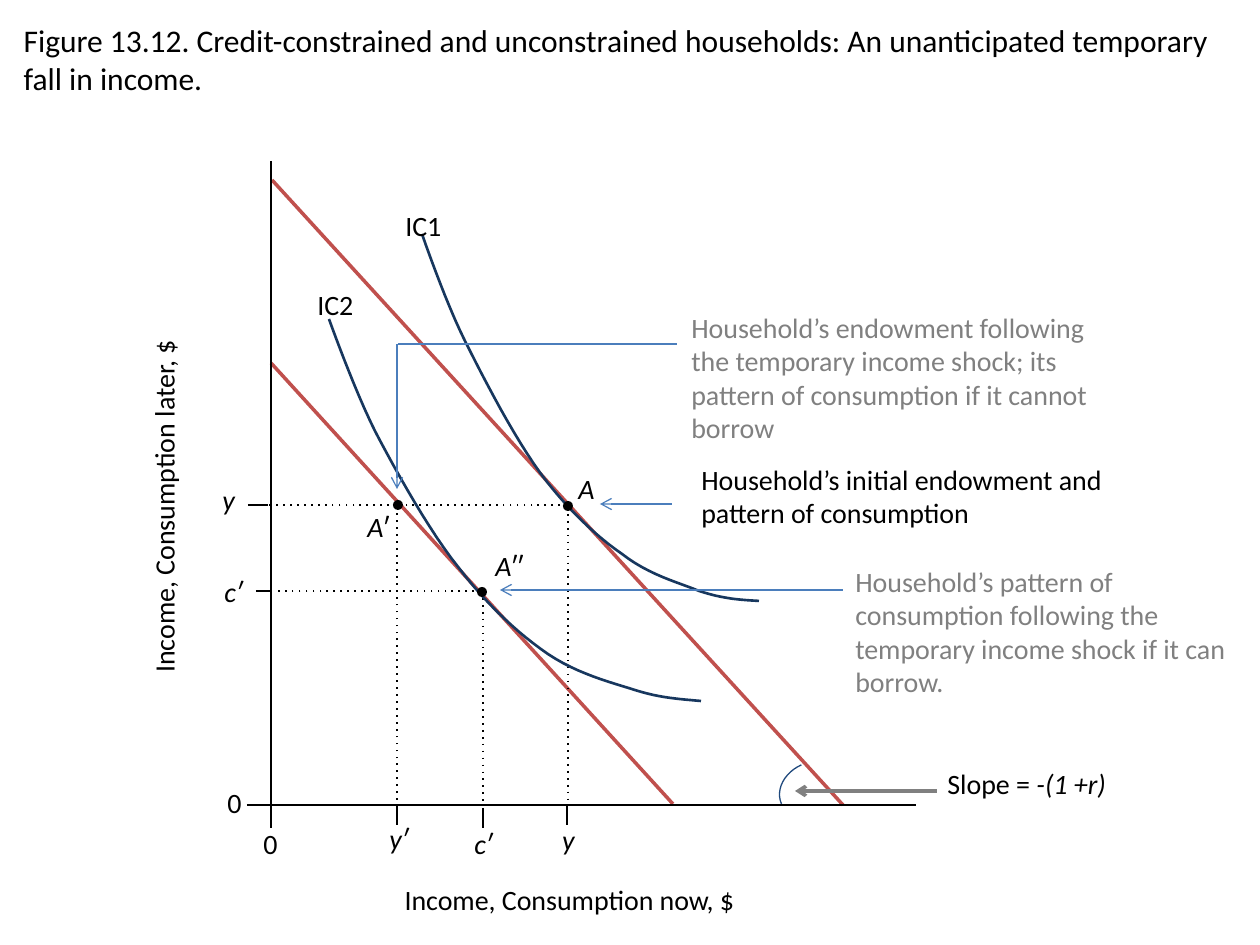
from dataclasses import dataclass
from typing import Any, NamedTuple

import lxml.etree
import pptx
import pptx.dml.color
import pptx.enum.shapes
import pptx.enum.text
import pptx.oxml.ns
import pptx.util

EMU_PER_PIXEL = 914400 / 126
CURVE_STEPS = 12


@dataclass(frozen=True)
class Theme:
    """Font, type sizes in points and colours."""
    font: str = "Calibri"
    title_size: int = 18
    body_size: int = 16
    black: str = "000000"
    white: str = "FFFFFF"
    grey: str = "808080"
    budget: str = "C0504D"
    curve: str = "17375E"
    angle: str = "1F497D"
    pointer: str = "4B7EBC"


THEME = Theme()


class Line(NamedTuple):
    """A straight line; coordinates in pixels, width in points."""
    start: tuple[int, int]
    end: tuple[int, int]
    color: str = THEME.black
    width: float = 1.5
    dash: str = ""
    arrow: bool = False


class Run(NamedTuple):
    """A stretch of text in one style."""
    text: str
    italic: bool = False


class Label(NamedTuple):
    """A text box; its frame is left, top, width, height in pixels."""
    frame: tuple[int, int, int, int]
    runs: list[Run]
    color: str = THEME.black
    centered: bool = False
    rotation: int = 0
    filled: bool = False


def emu(pixels: float) -> int:
    """Turn pixels into EMU."""
    return pptx.util.Emu(round(pixels * EMU_PER_PIXEL))


def rgb(color: str) -> pptx.dml.color.RGBColor:
    """Turn a hexadecimal string into a colour."""
    return pptx.dml.color.RGBColor.from_string(color)


def style_line(shape: Any, color: str, width: float) -> None:
    """Set the outline colour and width."""
    shape.line.color.rgb = rgb(color)
    shape.line.width = pptx.util.Pt(width)


def add_line(slide: Any, line: Line) -> None:
    """Draw a straight line with optional dash and arrowhead."""
    connector = slide.shapes.add_connector(
        pptx.enum.shapes.MSO_CONNECTOR.STRAIGHT, *map(emu, line.start + line.end))
    style_line(connector, line.color, line.width)
    properties = connector.element.spPr
    outline = properties.find(pptx.oxml.ns.qn("a:ln"))
    if line.dash:
        lxml.etree.SubElement(outline, pptx.oxml.ns.qn("a:prstDash"), val=line.dash)
    if line.arrow:
        lxml.etree.SubElement(outline, pptx.oxml.ns.qn("a:tailEnd"), type="arrow")
    lxml.etree.SubElement(properties, pptx.oxml.ns.qn("a:effectLst"))


def write_text(shape: Any, runs: list[Run], size: int, color: str, centered: bool = False) -> None:
    """Fill a shape with one paragraph, run by run."""
    frame = shape.text_frame
    frame.word_wrap = True
    frame.vertical_anchor = pptx.enum.text.MSO_ANCHOR.TOP
    paragraph = frame.paragraphs[0]
    alignment = pptx.enum.text.PP_ALIGN
    paragraph.alignment = alignment.CENTER if centered else alignment.LEFT
    for item in runs:
        run = paragraph.add_run()
        run.text = item.text
        run.font.name = THEME.font
        run.font.size = pptx.util.Pt(size)
        run.font.italic = item.italic
        run.font.color.rgb = rgb(color)


def add_label(slide: Any, label: Label) -> None:
    """Add a text box."""
    box = slide.shapes.add_textbox(*map(emu, label.frame))
    box.rotation = label.rotation
    if label.filled:
        box.fill.solid()
        box.fill.fore_color.rgb = rgb(THEME.white)
    write_text(box, label.runs, THEME.body_size, label.color, label.centered)


def add_point(slide: Any, center: tuple[int, int]) -> None:
    """Mark a point with a black dot ten pixels wide."""
    dot = slide.shapes.add_shape(
        pptx.enum.shapes.MSO_SHAPE.OVAL, emu(center[0] - 5), emu(center[1] - 5), emu(10), emu(10))
    dot.shadow.inherit = False
    dot.fill.solid()
    dot.fill.fore_color.rgb = rgb(THEME.black)
    dot.line.fill.background()


def add_curve(slide: Any, knots: list[tuple[int, int]]) -> None:
    """Draw a chain of cubic Bezier segments as a fine open outline."""
    points = []
    for first in range(0, len(knots) - 1, 3):
        segment = knots[first:first + 4]
        for step in range(1, CURVE_STEPS + 1):
            t = step / CURVE_STEPS
            weights = ((1 - t) ** 3, 3 * t * (1 - t) ** 2, 3 * t * t * (1 - t), t ** 3)
            points.append(tuple(
                emu(sum(w * knot[axis] for w, knot in zip(weights, segment))) for axis in (0, 1)))
    builder = slide.shapes.build_freeform(emu(knots[0][0]), emu(knots[0][1]), 1.0)
    builder.add_line_segments(points, close=False)
    curve = builder.convert_to_shape()
    curve.shadow.inherit = False
    curve.fill.background()
    style_line(curve, THEME.curve, 1.5)


def add_angle(slide: Any) -> None:
    """Draw the arc that marks the slope angle."""
    arc = slide.shapes.add_shape(
        pptx.enum.shapes.MSO_SHAPE.ARC, emu(785), emu(756), emu(55), emu(68))
    arc.rotation = 246.1
    arc.shadow.inherit = False
    arc.fill.background()
    style_line(arc, THEME.angle, 0.75)


def guide(start: tuple[int, int], end: tuple[int, int]) -> Line:
    """Describe a dotted guide line."""
    return Line(start, end, width=1, dash="dot")


def pointer(start: tuple[int, int], end: tuple[int, int], arrow: bool = True) -> Line:
    """Describe a thin blue pointer."""
    return Line(start, end, THEME.pointer, 0.75, arrow=arrow)


LINES = [
    Line((272, 180), (843, 805), THEME.budget, 2), Line((271, 363), (673, 804), THEME.budget, 2),
    Line((271, 161), (271, 806)), Line((916, 805), (271, 805)),
    Line((271, 803), (271, 828)), Line((247, 805), (271, 805)),
    Line((248, 505), (268, 505)), Line((256, 591), (272, 591)),
    Line((397, 805), (397, 825)), Line((483, 808), (483, 828)), Line((567, 805), (567, 825)),
    guide((396, 505), (267, 505)), guide((567, 505), (398, 505)), guide((481, 591), (273, 591)),
    guide((397, 800), (397, 503)), guide((483, 591), (483, 805)), guide((568, 507), (568, 804)),
]
POINTERS = [
    Line((937, 791), (795, 791), THEME.grey, 2, arrow=True),
    pointer((672, 504), (600, 504)), pointer((677, 344), (398, 344), arrow=False),
    pointer((397, 344), (397, 489)), pointer((843, 590), (500, 590)),
]
CURVES = [
    [(759, 601), (741, 600), (723, 599), (699, 591), (677, 582), (649, 575), (622, 554), (596, 536),
     (567, 509), (541, 474), (514, 437), (485, 381), (465, 341), (445, 301), (422, 234), (422, 234)],
    [(701, 701), (680, 699), (660, 698), (635, 690), (610, 682), (578, 674), (548, 654), (519, 634),
     (488, 606), (459, 568), (430, 532), (397, 473), (375, 431), (354, 389), (329, 319), (329, 319)],
]
POINTS = [(568, 506), (482, 592), (398, 505)]
LABELS = [
    Label((251, 820, 54, 47), [Run("0")]), Label((215, 779, 35, 47), [Run("0")]),
    Label((272, 876, 595, 47), [Run("Income, Consumption now, $")], centered=True),
    Label((-132, 483, 592, 47), [Run("Income, Consumption later, $")], centered=True, rotation=270),
    Label((935, 760, 310, 47), [Run("Slope = "), Run("-(1 +r)", True)]),
    Label((210, 476, 38, 47), [Run("y", True)]), Label((212, 568, 57, 47), [Run("cʹ", True)]),
    Label((462, 820, 73, 47), [Run("cʹ", True)]), Label((377, 815, 47, 47), [Run("yʹ", True)]),
    Label((524, 816, 89, 47), [Run("y", True)], centered=True),
    Label((566, 465, 44, 47), [Run("A", True)]),
    Label((355, 503, 58, 47), [Run("A", True), Run("ʹ")]),
    Label((483, 542, 58, 47), [Run("A", True), Run("ʹʹ")]),
    Label((393, 202, 493, 47), [Run("IC1")]), Label((305, 281, 493, 47), [Run("IC2")]),
    Label((689, 456, 427, 81),
          [Run("Household’s initial endowment and pattern of consumption")]),
    Label((679, 304, 427, 149),
          [Run("Household’s endowment following the temporary income shock; its pattern of "
               "consumption if it cannot borrow")], THEME.grey),
    Label((843, 558, 417, 149),
          [Run("Household’s pattern of consumption following the temporary income shock if it can "
               "borrow.")], THEME.grey, filled=True),
]


def main() -> None:
    """Build and save the slide."""
    presentation = pptx.Presentation()
    presentation.slide_width, presentation.slide_height = emu(1260), emu(945)
    slide = presentation.slides.add_slide(presentation.slide_layouts[5])
    title = slide.shapes.title
    title.left, title.top, title.width, title.height = map(emu, (11, 15, 1249, 89))
    title.text_frame.auto_size = pptx.enum.text.MSO_AUTO_SIZE.NONE
    write_text(title, [Run("Figure 13.12. Credit-constrained and unconstrained households: "
                           "An unanticipated temporary fall in income.")],
               THEME.title_size, THEME.black)
    for draw, items in ((add_line, LINES), (add_curve, CURVES), (add_point, POINTS),
                        (add_label, LABELS), (add_line, POINTERS)):
        for item in items:
            draw(slide, item)
    add_angle(slide)
    presentation.save("out.pptx")


main()
